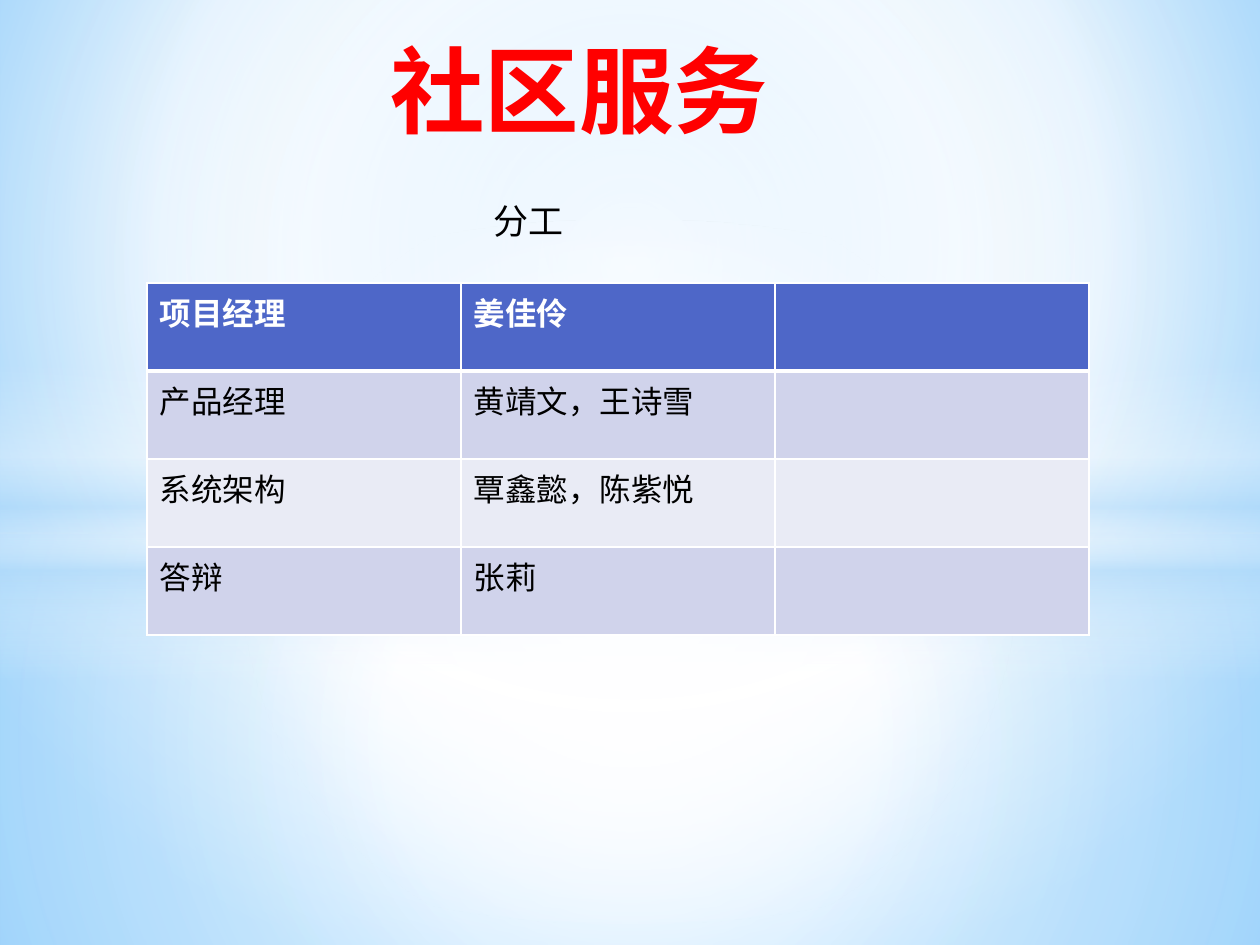
"""Build the community service slide with its division-of-work table."""
from lxml.etree import SubElement
from pptx import Presentation
from pptx.dml.color import RGBColor
from pptx.enum.shapes import MSO_SHAPE
from pptx.enum.text import MSO_ANCHOR
from pptx.oxml.ns import qn
from pptx.util import Pt

PX = 914400 / 126
FONT = "Lato"
COLORS = {
    "white": "FFFFFF", "black": "000000", "red": "FF0000",
    "sky": "9ED5FF", "azure": "5BB9FF", "pale": "B4DCFA",
    "header": "4E67C8", "odd": "D0D3EB", "even": "E9EBF5",
}
CENTER = (50, 50, 50, 50)
BACKDROP = [(0, "sky", 100), (60, "white", 100), (100, "azure", 100)]
LAYERS = [
    (MSO_SHAPE.RECTANGLE, (0, 533, 1260, 412), CENTER,
     [(0, "white", 91), (37, "white", 76), (100, "pale", 79)]),
    (MSO_SHAPE.RECTANGLE, (0, 0, 1260, 533), CENTER,
     [(0, "white", 89), (48, "white", 62), (100, "pale", 79)]),
    (MSO_SHAPE.RECTANGLE, (0, 365, 1260, 315), None,
     [(0, "white", 0), (29, "white", 30), (45, "pale", 40),
      (55, "white", 26), (65, "pale", 60), (100, "white", 0)]),
    (MSO_SHAPE.OVAL, (0, 220, 1260, 703), CENTER,
     [(0, "white", 100), (54, "white", 0)]),
]
TITLE = ("社区服务", (353, 26, 741, 198))
SUBTITLE = ("分工", (481, 193, 96, 55))
DUTIES = [
    ("项目经理", "姜佳伶", ""),
    ("产品经理", "黄靖文，王诗雪", ""),
    ("系统架构", "覃鑫懿，陈紫悦", ""),
    ("答辩", "张莉", ""),
]
TABLE_BOX = (147, 283, 942, 352)


def emu(box):
    return [round(length * PX) for length in box]


def paint_gradient(fill, owner, stops, focus):
    fill.gradient()
    gradient = next(owner.iter(qn("a:gradFill")))
    for child in list(gradient):
        gradient.remove(child)
    stop_list = SubElement(gradient, qn("a:gsLst"))
    for position, color, opacity in stops:
        stop = SubElement(stop_list, qn("a:gs"), pos=str(position * 1000))
        tint = SubElement(stop, qn("a:srgbClr"), val=COLORS[color])
        SubElement(tint, qn("a:alpha"), val=str(opacity * 1000))
    if focus:
        circle = SubElement(gradient, qn("a:path"), path="circle")
        edges = {side: str(part * 1000) for side, part in zip("ltrb", focus)}
        SubElement(circle, qn("a:fillToRect"), edges)
    else:
        SubElement(gradient, qn("a:lin"), ang="5400000", scaled="0")


def write(frame, text, size, color, bold=False):
    frame.text = text
    for run in frame.paragraphs[0].runs:
        run.font.name = FONT
        run.font.size = Pt(size)
        run.font.bold = bold
        run.font.color.rgb = RGBColor.from_string(COLORS[color])


def add_heading(slide, heading, size, color, bold, wrap):
    text, box = heading
    frame = slide.shapes.add_textbox(*emu(box)).text_frame
    frame.word_wrap = wrap
    frame.vertical_anchor = MSO_ANCHOR.TOP
    write(frame, text, size, color, bold)
    return frame.paragraphs[0]


def add_borders(cell, widths):
    properties = cell._tc.get_or_add_tcPr()
    for side, width in zip("LRTB", widths):
        border = SubElement(properties, qn(f"a:ln{side}"), w=str(Pt(width)))
        paint = SubElement(border, qn("a:solidFill"))
        SubElement(paint, qn("a:srgbClr"), val=COLORS["white"])


def add_duties(slide):
    table = slide.shapes.add_table(
        len(DUTIES), len(DUTIES[0]), *emu(TABLE_BOX)).table
    for row, duty in enumerate(DUTIES):
        header = row == 0
        band = "header" if header else "odd" if row % 2 else "even"
        widths = (1, 1, 3 if row == 1 else 1, 3 if header else 1)
        for column, text in enumerate(duty):
            cell = table.cell(row, column)
            write(cell.text_frame, text, 18,
                  "white" if header else "black", header)
            add_borders(cell, widths)
            cell.fill.solid()
            cell.fill.fore_color.rgb = RGBColor.from_string(COLORS[band])


def main():
    deck = Presentation()
    deck.slide_width, deck.slide_height = emu((1260, 945))
    slide = deck.slides.add_slide(deck.slide_layouts[6])
    paint_gradient(slide.background.fill, slide._element,
                   BACKDROP, (20, 10, 20, 60))
    for outline, box, focus, stops in LAYERS:
        layer = slide.shapes.add_shape(outline, *emu(box))
        layer.shadow.inherit = False
        layer.line.fill.background()
        paint_gradient(layer.fill, layer._element, stops, focus)
    title = add_heading(slide, TITLE, 54, "red", True, True)
    title._p.get_or_add_pPr().set("marL", str(round(25 * PX)))
    add_heading(slide, SUBTITLE, 20, "black", False, False)
    add_duties(slide)
    deck.save("out.pptx")


if __name__ == "__main__":
    main()
